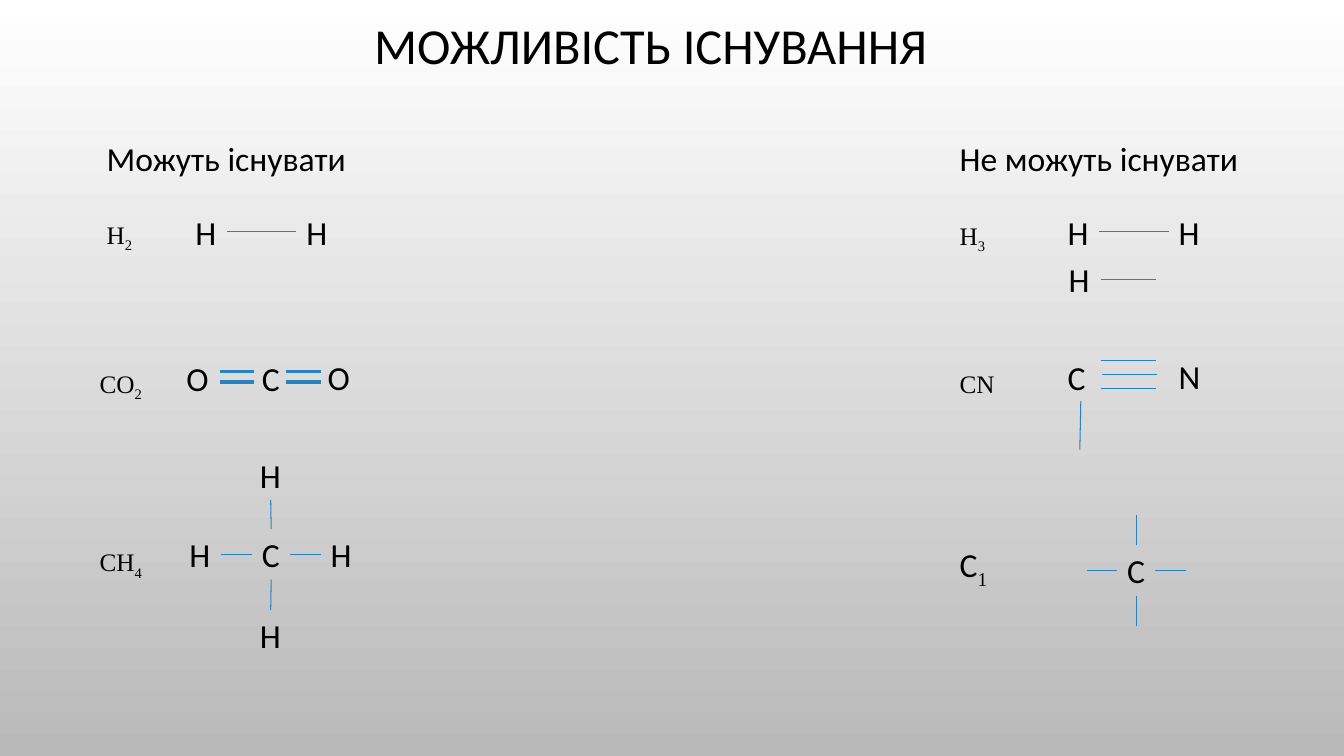
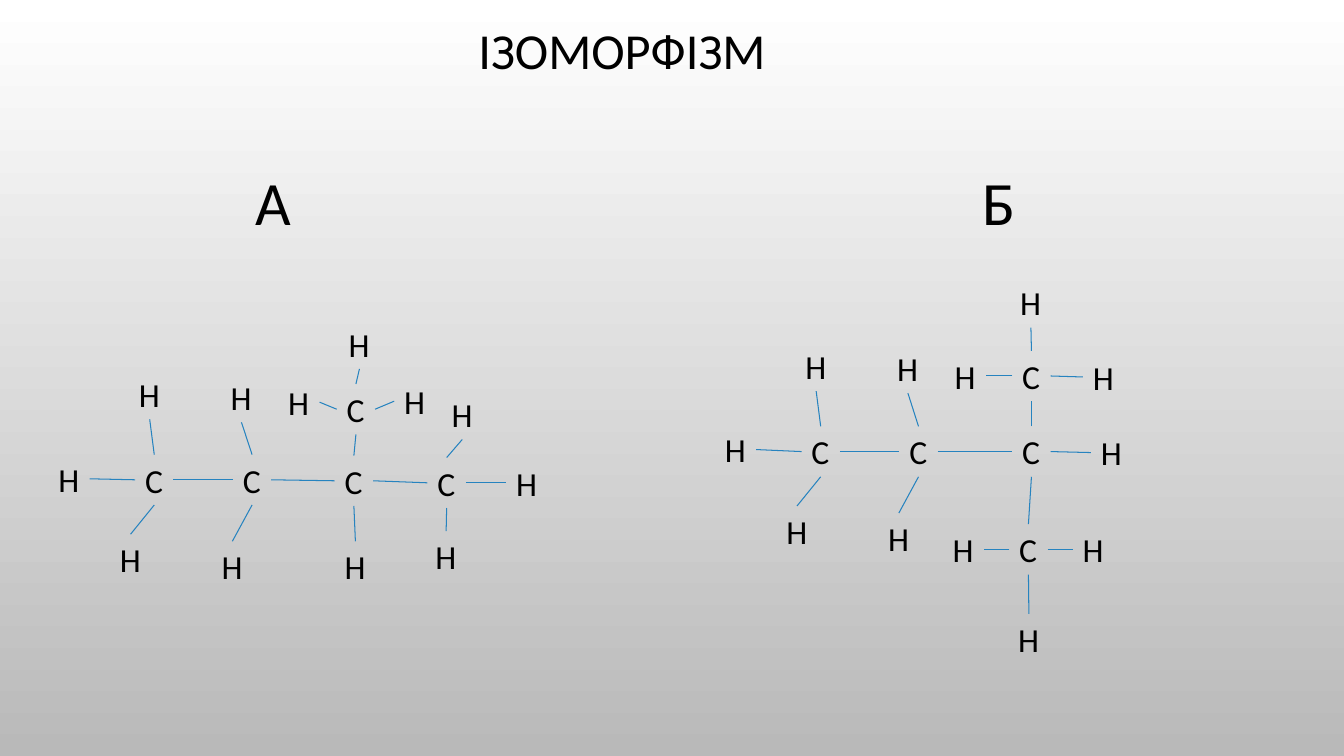
from dataclasses import dataclass

from lxml.etree import SubElement
from pptx import Presentation
from pptx.dml.color import RGBColor
from pptx.enum.shapes import MSO_CONNECTOR
from pptx.enum.text import MSO_ANCHOR, MSO_AUTO_SIZE, PP_ALIGN
from pptx.oxml.ns import qn
from pptx.util import Inches, Pt


@dataclass(frozen=True)
class Theme:
    ink: RGBColor = RGBColor(0, 0, 0)
    bond: RGBColor = RGBColor(0x26, 0x83, 0xBF)
    light: RGBColor = RGBColor(255, 255, 255)
    dark: RGBColor = RGBColor(0xB9, 0xB9, 0xB9)
    sans: str = "Calibri"
    serif: str = "Times New Roman"
    title: int = 36
    letter: int = 44
    text: int = 24
    label: int = 18
    thin: float = 0.75
    thick: float = 2.25


THEME = Theme()
TOP, LEFT, BOTTOM, RIGHT = range(4)
WIDTHS = {"C": 0.38, "H": 0.41, "O": 0.42, "N": 0.42}
HIGH = 0.5
STUB = 0.3

HEADS = [("Можуть існувати", 0.96, 2.6), ("Не можуть існувати", 9.42, 2.99)]

LABELS = [
    ("H", "2", 0.96, 2.1, 0.47, THEME.serif, THEME.label),
    ("CO", "2", 0.89, 3.58, 0.64, THEME.serif, THEME.label),
    ("CH", "4", 0.89, 5.35, 0.64, THEME.serif, THEME.label),
    ("H", "3", 9.42, 2.11, 0.47, THEME.serif, THEME.label),
    ("CN", "", 9.42, 3.58, 0.55, THEME.serif, THEME.label),
    ("C", "1", 9.42, 5.35, 0.49, THEME.sans, THEME.text),
]

# Each atom: symbol, left, top, index of the atom it hangs on, side of that atom
SMALL = [
    [("H", 1.84, 2.05, None, None), ("H", 2.94, 2.05, 0, RIGHT)],
    [("O", 1.75, 3.5, None, None), ("C", 2.5, 3.5, None, None),
     ("O", 3.15, 3.49, None, None)],
    [("C", 2.5, 5.25, None, None), ("H", 3.18, 5.25, 0, RIGHT),
     ("H", 1.78, 5.25, 0, LEFT), ("H", 2.48, 4.46, 0, TOP),
     ("H", 2.48, 6.05, 0, BOTTOM)],
    [("H", 10.49, 2.05, None, None), ("H", 11.59, 2.05, 0, RIGHT),
     ("H", 10.5, 2.52, None, None)],
    [("C", 10.49, 3.49, None, None), ("N", 11.59, 3.48, None, None)],
]

LONE = ("C", 11.08, 5.41, None, None)

DOUBLE = [(x, y, x + 0.34, y) for x in (2.18, 2.84) for y in (3.69, 3.79)]
SINGLE = [
    (10.92, 2.77, 11.47, 2.77),
    (10.92, 3.58, 11.47, 3.58),
    (10.93, 3.72, 11.48, 3.72),
    (10.92, 3.85, 11.47, 3.85),
    (10.72, 3.98, 10.71, 4.46),
]

LETTERS = [("А", 2.3, 0.83), ("Б", 9.61, 0.6)]

LARGE = [
    [("C", 1.34, 4.51, None, None), ("C", 2.31, 4.51, 0, RIGHT),
     ("C", 3.32, 4.52, 1, RIGHT), ("C", 4.24, 4.54, 2, RIGHT),
     ("C", 3.34, 3.81, 2, TOP),
     ("H", 0.48, 4.5, 0, LEFT), ("H", 1.28, 3.66, 0, TOP),
     ("H", 1.09, 5.3, 0, BOTTOM),
     ("H", 2.19, 3.69, 1, TOP), ("H", 2.1, 5.37, 1, BOTTOM),
     ("H", 3.32, 5.37, 2, BOTTOM),
     ("H", 4.38, 3.86, 3, TOP), ("H", 5.02, 4.54, 3, RIGHT),
     ("H", 4.22, 5.27, 3, BOTTOM),
     ("H", 2.76, 3.74, 4, LEFT), ("H", 3.36, 3.16, 4, TOP),
     ("H", 3.91, 3.73, 4, RIGHT)],
    [("C", 7.95, 4.23, None, None), ("C", 8.92, 4.23, 0, RIGHT),
     ("C", 10.04, 4.23, 1, RIGHT), ("C", 10.04, 3.48, 2, TOP),
     ("C", 10.01, 5.2, 2, BOTTOM),
     ("H", 7.09, 4.21, 0, LEFT), ("H", 7.89, 3.38, 0, TOP),
     ("H", 7.7, 5.02, 0, BOTTOM),
     ("H", 8.8, 3.4, 1, TOP), ("H", 8.71, 5.09, 1, BOTTOM),
     ("H", 10.82, 4.24, 2, RIGHT),
     ("H", 9.37, 3.48, 3, LEFT), ("H", 10.02, 2.75, 3, TOP),
     ("H", 10.74, 3.49, 3, RIGHT),
     ("H", 9.35, 5.2, 4, LEFT), ("H", 10.64, 5.2, 4, RIGHT),
     ("H", 10, 6.09, 4, BOTTOM)],
]


def style(run, size, face=THEME.sans):
    run.font.size = Pt(size)
    run.font.name = face
    run.font.color.rgb = THEME.ink


def add_text(slide, text, x, y, w, h=HIGH, size=THEME.text, face=THEME.sans):
    box = slide.shapes.add_textbox(Inches(x), Inches(y), Inches(w), Inches(h))
    box.text_frame.text = text
    box.text_frame.word_wrap = False
    style(box.text_frame.paragraphs[0].runs[0], size, face)
    return box


def center(box):
    frame = box.text_frame
    frame.word_wrap = True
    frame.auto_size = MSO_AUTO_SIZE.NONE
    frame.vertical_anchor = MSO_ANCHOR.MIDDLE
    frame.paragraphs[0].alignment = PP_ALIGN.CENTER
    frame.paragraphs[0].line_spacing = 0.9


def add_label(slide, base, index, x, y, w, face, size):
    box = add_text(slide, base, x, y, w, 0.43, size, face)
    para = box.text_frame.paragraphs[0]
    if size == THEME.label:
        para.line_spacing = 1.07
        para.space_after = Pt(8)
    if index:
        run = para.add_run()
        run.text = index
        style(run, size, THEME.serif)
        run._r.get_or_add_rPr().set("baseline", "-25000")


def add_line(slide, x1, y1, x2, y2, width=THEME.thin):
    ends = [Inches(v) for v in (x1, y1, x2, y2)]
    line = slide.shapes.add_connector(MSO_CONNECTOR.STRAIGHT, *ends)
    line.line.color.rgb = THEME.bond
    line.line.width = Pt(width)
    SubElement(line._element.spPr, qn("a:effectLst"))
    return line


def add_atom(slide, atom):
    sign, x, y = atom[:3]
    return add_text(slide, sign, x, y, WIDTHS[sign])


def add_tree(slide, atoms):
    boxes = [add_atom(slide, atom) for atom in atoms]
    for box, (_, _, _, host, side) in zip(boxes, atoms):
        if host is not None:
            bond = add_line(slide, 0, 0, 1, 1)
            bond.begin_connect(boxes[host], side)
            bond.end_connect(box, (side + 2) % 4)


def add_stubs(slide, atom):
    box = add_atom(slide, atom)
    sign, x, y = atom[:3]
    w = WIDTHS[sign]
    mid_x, mid_y = x + w / 2, y + HIGH / 2
    tips = {
        TOP: (mid_x, y, mid_x, y - STUB),
        LEFT: (x, mid_y, x - STUB, mid_y),
        BOTTOM: (mid_x, y + HIGH, mid_x, y + HIGH + STUB),
        RIGHT: (x + w, mid_y, x + w + STUB, mid_y),
    }
    for side, ends in tips.items():
        add_line(slide, *ends).begin_connect(box, side)


def add_slide(deck, text, x, w, h):
    slide = deck.slides.add_slide(deck.slide_layouts[5])
    title = slide.shapes.title
    title.left, title.top = Inches(x), Inches(0)
    title.width, title.height = Inches(w), Inches(h)
    title.text_frame.text = text
    center(title)
    style(title.text_frame.paragraphs[0].runs[0], THEME.title)
    return slide


def set_back(deck):
    fill = deck.slide_master.background.fill
    fill.gradient()
    fill.gradient_angle = 270
    for stop, tone in zip(fill.gradient_stops, (THEME.light, THEME.dark)):
        stop.color.rgb = tone


def main():
    deck = Presentation()
    deck.slide_width, deck.slide_height = Inches(13.33), Inches(7.5)
    set_back(deck)

    slide = add_slide(deck, "МОЖЛИВІСТЬ ІСНУВАННЯ", 3.49, 5.93, 0.96)
    for text, x, w in HEADS:
        add_text(slide, text, x, 1.32, w)
    for label in LABELS:
        add_label(slide, *label)
    for atoms in SMALL:
        add_tree(slide, atoms)
    add_stubs(slide, LONE)
    for width, lines in ((THEME.thick, DOUBLE), (THEME.thin, SINGLE)):
        for ends in lines:
            add_line(slide, *ends, width)

    slide = add_slide(deck, "ІЗОМОРФІЗМ", 4.58, 3.18, 1.06)
    for text, x, w in LETTERS:
        center(add_text(slide, text, x, 1.51, w, 1.06, THEME.letter))
    for atoms in LARGE:
        add_tree(slide, atoms)

    deck.save("out.pptx")


if __name__ == "__main__":
    main()
